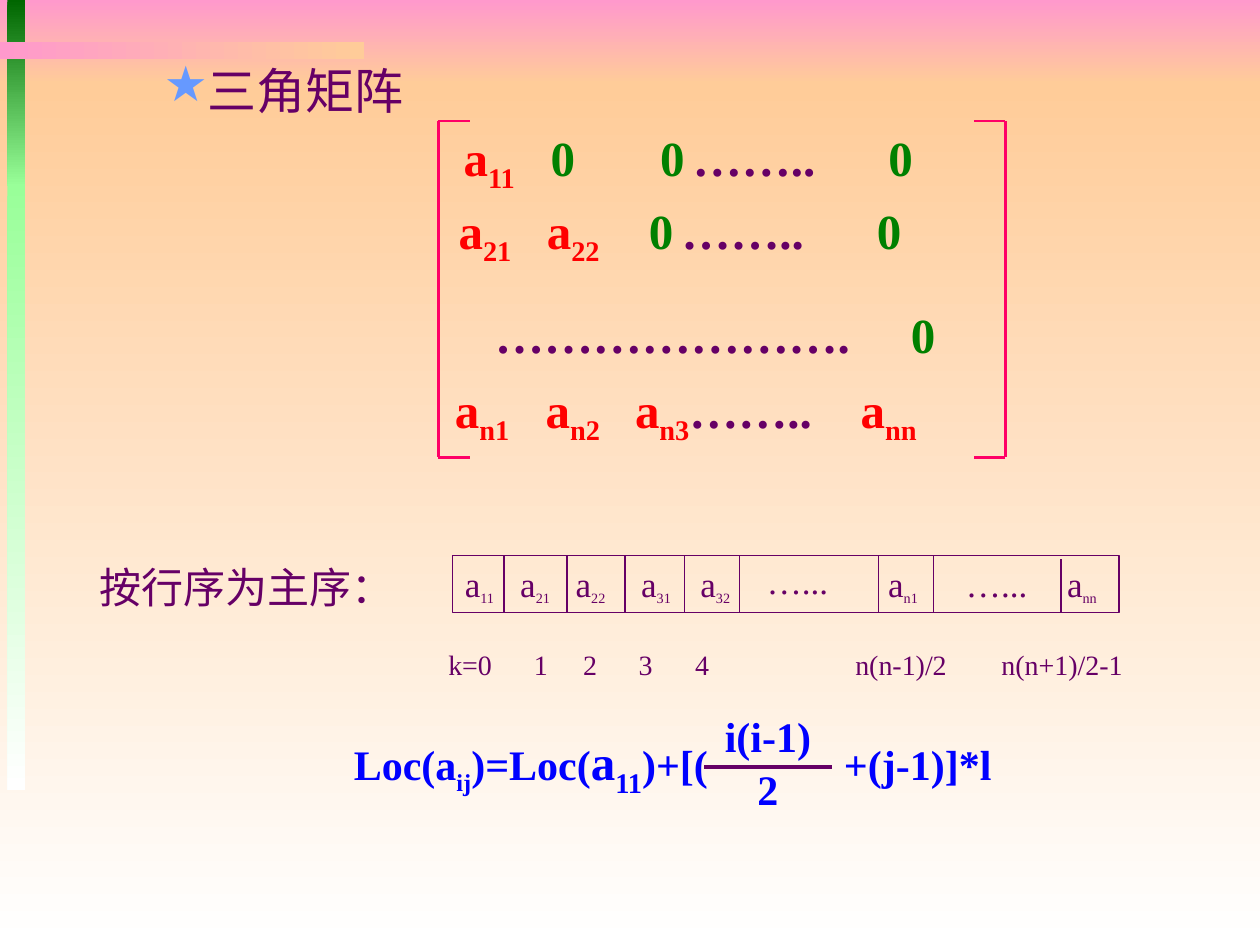
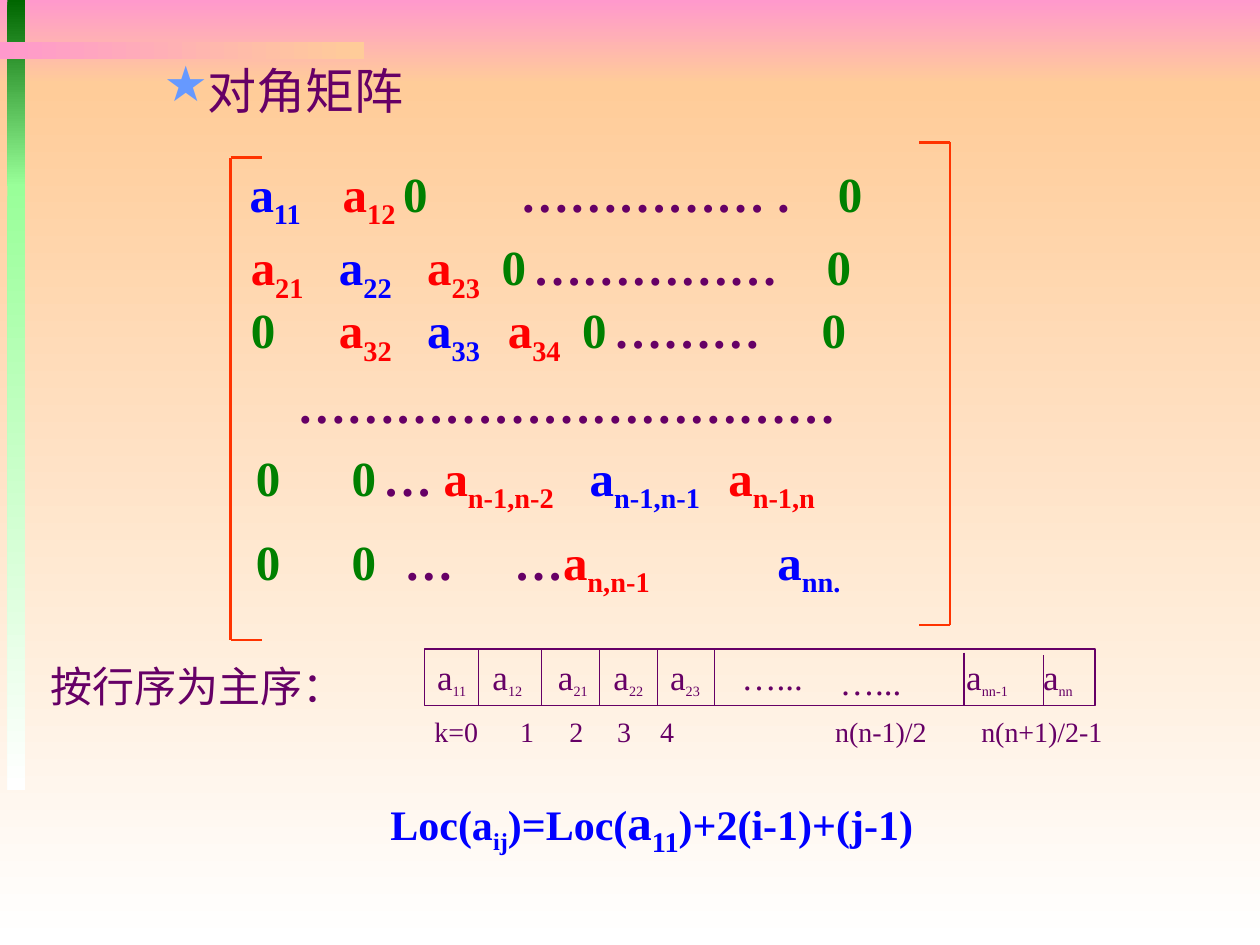
from lxml import etree
from pptx import Presentation
from pptx.dml.color import RGBColor
from pptx.enum import shapes, text
from pptx.oxml.ns import qn
from pptx.util import Inches, Pt

COLORS = {
    "text": "660066", "red": "FF0000", "zero": "008000", "blue": "0000FF",
    "star": "6699FF", "pink": "FF99CC", "peach": "FFCC99", "white": "FFFFFF",
    "forest": "006600", "mint": "99FF99", "rose": "FF0066", "orange": "FF3300",
}
SERIF = "Times New Roman"
PURPLE_LINE = {"color": "text", "width": 0.75}


def rgb(name):
    """Return the palette colour called name."""
    return RGBColor.from_string(COLORS[name])


def inches(box):
    """Convert a box of numbers to lengths."""
    return [Inches(v) for v in box]


def add_child(parent, tag, **attrs):
    """Append a drawing element with attributes."""
    el = etree.SubElement(parent, qn(tag))
    for key, value in attrs.items():
        el.set(key, str(value))
    return el


def write(sp, pieces, size=28, color="text", bold=False, font=SERIF, sub_size=None,
          align="LEFT", anchor="TOP", wrap=True, inset=0.1):
    """Write (tab stop, text, format) pieces; underscores switch subscript on and off."""
    if isinstance(pieces, str):
        pieces = [(0, pieces, {})]
    tf = sp.text_frame
    tf.word_wrap = wrap
    tf.vertical_anchor = getattr(text.MSO_ANCHOR, anchor)
    tf.margin_left = tf.margin_right = Inches(inset)
    tf.margin_top = tf.margin_bottom = Inches(0.05)
    p = tf.paragraphs[0]
    p.alignment = getattr(text.PP_ALIGN, align)
    stops = [tab for tab, _, _ in pieces if tab]
    if stops:
        tabs = add_child(p._p.get_or_add_pPr(), "a:tabLst")
        for stop in stops:
            add_child(tabs, "a:tab", pos=Inches(stop), algn="l")
    for tab, content, style in pieces:
        for i, part in enumerate(content.split("_")):
            if not part:
                continue
            r = p.add_run()
            r.text = "\t" + part if tab and i == 0 else part
            r.font.name = font
            r.font.bold = bold
            r.font.color.rgb = rgb(style.get("color", color))
            r.font.size = Pt(style.get("size", size))
            if i % 2:
                r.font.size = Pt(sub_size or style.get("size", size))
                r._r.get_or_add_rPr().set("baseline", "-25000")
    return sp


def textbox(slide, box, pieces, **style):
    """Add a text box."""
    return write(slide.shapes.add_textbox(*inches(box)), pieces, **style)


def line(slide, x1, y1, x2, y2, color, width):
    """Add a straight line."""
    ln = slide.shapes.add_connector(shapes.MSO_CONNECTOR.STRAIGHT, *inches((x1, y1, x2, y2)))
    ln.line.color.rgb = rgb(color)
    ln.line.width = Pt(width)
    add_child(ln._element.spPr, "a:effectLst")


def backdrop(slide):
    """Build the gradient bands and move them to the slide master."""
    bands = [((0, 0, 10, 0.67), "pink", "peach", 270),
             ((0, 0.67, 10, 6.83), "peach", "white", 270),
             ((0.06, 0, 0.14, 1.48), "forest", "mint", 270),
             ((0.06, 1.46, 0.14, 4.81), "mint", "white", 270),
             ((0, 0.33, 2.89, 0.14), "pink", "peach", 0)]
    tree = slide.slide_layout.slide_master.shapes._spTree
    for i, (box, start, end, angle) in enumerate(bands):
        sp = slide.shapes.add_shape(shapes.MSO_SHAPE.RECTANGLE, *inches(box))
        sp.shadow.inherit = False
        sp.line.fill.background()
        sp.fill.gradient()
        sp.fill.gradient_angle = angle
        for stop, name in zip(sp.fill.gradient_stops, (start, end)):
            stop.color.rgb = rgb(name)
        tree.insert(2 + i, sp._element)


def heading(slide, content, box):
    """Fill the title placeholder with a starred heading."""
    sp = slide.shapes.title
    sp.left, sp.top, sp.width, sp.height = inches(box)
    pPr = sp.text_frame.paragraphs[0]._p.get_or_add_pPr()
    pPr.set("marL", str(Inches(0.81)))
    pPr.set("indent", str(Inches(-0.31)))
    add_child(add_child(pPr, "a:buClr"), "a:srgbClr", val=COLORS["star"])
    add_child(pPr, "a:buChar", char="★")
    write(sp, content, font="Arial")


def entry_color(entry, diagonal):
    """Choose the colour of a matrix entry from its kind and index."""
    if entry[0] in "0…":
        return "zero" if entry[0] == "0" else "text"
    index = entry.split("_")[1].strip(".")
    half = len(index) // 2
    return diagonal if index[:half] == index[-half:] else "red"


def matrix(slide, box, rows, color, diagonal="red", rise=0):
    """Draw matrix rows between two square brackets."""
    left, top, width, height = box
    for y, entries in rows:
        pieces = [(x, entry, {"color": entry_color(entry, diagonal)}) for x, entry in entries]
        textbox(slide, (left + 0.01, top + y, width, 0.63), pieces, bold=True, inset=0)
    for x, y, tick in ((left, top, 0.25), (left + width, top - rise, -0.25)):
        line(slide, x, y, x, y + height, color, 1.5)
        for end in (y, y + height):
            line(slide, x, end, x + tick, end, color, 1.5)


def storage(slide, box, cells, dividers, dots, index, index_box, label_at):
    """Draw the row-major storage strip with its label and index line."""
    left, top, _, height = box
    for x, drop in dividers:
        line(slide, left + x, top + drop, left + x, top + height, **PURPLE_LINE)
    for x, y in dots:
        textbox(slide, (left + x, top + y, 0.68, 0.44), "…...", size=20,
                align="CENTER", anchor="MIDDLE", wrap=False, inset=0)
    sp = slide.shapes.add_shape(shapes.MSO_SHAPE.RECTANGLE, *inches(box))
    sp.shadow.inherit = False
    sp.fill.background()
    sp.line.color.rgb = rgb("text")
    sp.line.width = Pt(0.75)
    write(sp, [(x, cell, {}) for x, cell in cells], size=20, sub_size=14, anchor="MIDDLE")
    x, y, w, h = index_box
    names = ["k=0", "1", "2", "3", "4", "n(n-1)/2", "n(n+1)/2-1"]
    textbox(slide, (left + x, top + y, w, h),
            [(tab, name, {}) for tab, name in zip(index, names)], size=16, anchor="MIDDLE")
    x, y = label_at
    textbox(slide, (left + x, top + y, 2.53, 0.5), "按行序为主序：", size=24,
            align="CENTER", anchor="MIDDLE", wrap=False, inset=0)


def formula(slide, box, *tail):
    """Write the address formula, ending in the given pieces."""
    pieces = [(0, "Loc(a_ij_)=Loc(", {}), (0, "a_11_", {"size": 28})]
    pieces += [(tab, content, {}) for tab, content in tail]
    textbox(slide, box, pieces, size=24, color="blue", bold=True)


def fraction(slide, box, top_text, bottom_text):
    """Draw a numerator and a denominator around a bar."""
    left, top, width, _ = box
    for y, content in ((0, top_text), (0.42, bottom_text)):
        textbox(slide, (left, top + y, width, 0.5), content, size=24, color="blue",
                bold=True, align="CENTER", wrap=False, inset=0)
    line(slide, left, top + 0.5, left + width, top + 0.5, "text", 2.25)


def triangular_slide(slide):
    """Build the triangular matrix slide."""
    heading(slide, "三角矩阵", (0.7, 0.43, 9.3, 0.65))
    matrix(slide, (3.48, 0.96, 4.5, 2.67), [
        (0, [(0.19, "a_11"), (0.88, "0"), (1.75, "0"), (2.01, "…….."), (3.56, "0")]),
        (0.58, [(0.15, "a_21"), (0.85, "a_22"), (1.66, "0"), (1.92, "…….."), (3.47, "0")]),
        (1.41, [(0.44, "…………………."), (3.74, "0")]),
        (2, [(0.12, "a_n1"), (0.84, "a_n2"), (1.55, "a_n3"), (0, "…….."), (3.34, "a_nn")]),
    ], "rose")
    storage(slide, (3.59, 4.41, 5.29, 0.45),
            [(0, "a_11"), (0.44, "a_21"), (0.88, "a_22"), (1.4, "a_31"), (1.87, "a_32"),
             (3.36, "a_n1"), (4.78, "a_nn")],
            [(x, 0) for x in (0.41, 0.91, 1.37, 1.84, 2.28, 3.38, 3.82)] + [(4.83, 0.03)],
            [(2.4, -0.02), (3.98, 0)],
            (0, 0.68, 1.07, 1.51, 1.96, 3.23, 4.39), (-0.13, 0.64, 5.8, 0.44), (-2.9, 0))
    formula(slide, (2.71, 5.76, 5.6, 0.63), (0, ")+[("), (3.89, "+(j-1)]*l"))
    fraction(slide, (5.59, 5.59, 1.01, 0.92), "i(i-1)", "2")


def diagonal_slide(slide):
    """Build the diagonal matrix slide."""
    heading(slide, "对角矩阵", (0.7, 0.43, 9.3, 0.94))
    matrix(slide, (1.83, 1.25, 5.71, 3.83), [
        (0, [(0.14, "a_11"), (0.88, "a_12"), (1.36, "0"), (2.29, "…………… ."), (4.81, "0")]),
        (0.58, [(0.15, "a_21"), (0.85, "a_22"), (1.55, "a_23"), (2.14, "0"),
                (2.39, "……………"), (4.72, "0")]),
        (1.08, [(0.15, "0"), (0.85, "a_32"), (1.55, "a_33"), (2.19, "a_34"), (2.78, "0"),
                (3.03, "………"), (4.68, "0")]),
        (1.67, [(0.52, "……………………………")]),
        (2.25, [(0.19, "0"), (0.95, "0"), (1.2, "…"), (1.68, "a_n-1,n-2"),
                (2.84, "a_n-1,n-1"), (3.94, "a_n-1,n")]),
        (2.92, [(0.19, "0"), (0.95, "0"), (1.37, "…"), (2.24, "…"), (0, "a_n,n-1"),
                (4.33, "a_nn.")]),
    ], "orange", diagonal="blue", rise=0.12)
    storage(slide, (3.37, 5.15, 5.32, 0.45),
            [(0, "a_11"), (0.44, "a_12"), (0.96, "a_21"), (1.4, "a_22"), (1.85, "a_23"),
             (4.2, "a_nn-1"), (4.81, "a_nn")],
            [(x, 0) for x in (0.43, 0.93, 1.39, 1.85, 2.3)] + [(4.28, 0.03), (4.91, 0.05)],
            [(2.42, 0), (3.2, 0.04)],
            (0, 0.68, 1.07, 1.45, 1.79, 3.18, 4.34), (-0.02, 0.47, 5.8, 0.37), (-3.07, 0.04))
    formula(slide, (3, 6.23, 5.42, 0.63), (0, ")+2(i-1)+(j-1)"))


def main():
    """Build and save the presentation."""
    prs = Presentation()
    prs.slide_width, prs.slide_height = Inches(10), Inches(7.5)
    builders = (triangular_slide, diagonal_slide)
    slides = [prs.slides.add_slide(prs.slide_layouts[5]) for _ in builders]
    backdrop(slides[0])
    for build, slide in zip(builders, slides):
        build(slide)
    prs.save("out.pptx")


if __name__ == "__main__":
    main()
